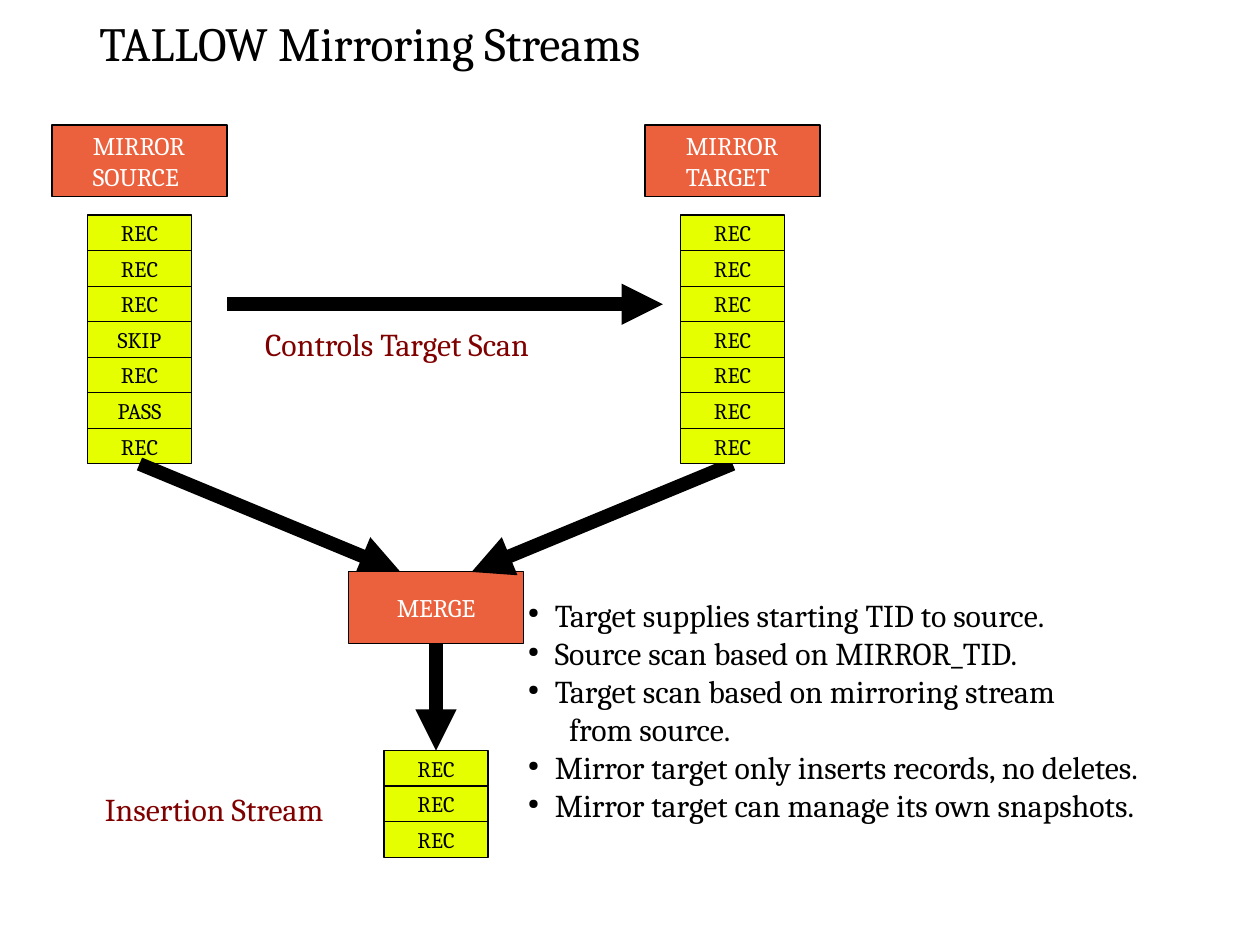
from lxml import etree
from pptx import Presentation, util as u
from pptx.dml.color import RGBColor
from pptx.enum import shapes, text
from pptx.oxml.ns import qn

# Content
TITLE = "TALLOW Mirroring Streams"
HEADS = {"source": "MIRROR\nSOURCE", "target": "MIRROR\nTARGET", "merge": "MERGE"}
SOURCE = ["REC", "REC", "REC", "SKIP", "REC", "PASS", "REC"]
TARGET = ["REC"] * 7
STREAM = ["REC"] * 3
SCAN, INSERT = "Controls Target Scan", "Insertion Stream"
NOTES = [  # text, has bullet
    ("Target supplies starting TID to source.", True),
    ("Source scan based on MIRROR_TID.", True),
    ("Target scan based on mirroring stream", True),
    ("from source.", False),
    ("Mirror target only inserts records, no deletes.", True),
    ("Mirror target can manage its own snapshots.", True),
]

# Look and layout, lengths in cm
FONT = "Cambria"
BLACK, WHITE, RED, LIME, MAROON = "000000", "FFFFFF", "EB613D", "E6FF00", "800000"
MID, SPAN = 9.69, 6.59
LEFT, RIGHT = MID - SPAN, MID + SPAN
HEAD_W, HEAD_H = 3.89, 1.59
REC_W, REC_H = 2.31, 0.79
HEAD_Y, REC_Y, MERGE_Y, STREAM_Y = 2.78, 4.78, 12.71, 16.68
REC_END = REC_Y + REC_H * len(SOURCE)
TIP, SCAN_Y = 0.79, 6.76

deck = Presentation()
deck.slide_width, deck.slide_height = u.Cm(28), u.Cm(21)
slide = deck.slides.add_slide(deck.slide_layouts[6])


def hue(code):
    return RGBColor.from_string(code)


def style(frame, size, color, align=text.PP_ALIGN.LEFT):
    frame.word_wrap = True
    for par in frame.paragraphs:
        par.alignment = align
        for run in par.runs:
            run.font.name, run.font.size = FONT, u.Pt(size)
            run.font.color.rgb = hue(color)


def box(words, mid, top, wide, high, fill, size, color):
    rect = slide.shapes.add_shape(
        shapes.MSO_SHAPE.RECTANGLE,
        u.Cm(mid - wide / 2), u.Cm(top), u.Cm(wide), u.Cm(high))
    rect.shadow.inherit = False
    rect.fill.solid()
    rect.fill.fore_color.rgb = hue(fill)
    rect.line.color.rgb = hue(BLACK)
    rect.line.width = u.Pt(0)
    frame = rect.text_frame
    frame.text = words
    frame.vertical_anchor = text.MSO_ANCHOR.MIDDLE
    if "\n" in words:
        frame.margin_left = u.Cm(0.91)
        style(frame, size, color)
    else:
        style(frame, size, color, text.PP_ALIGN.CENTER)
    return rect


def head(key, mid, top):
    return box(HEADS[key], mid, top, HEAD_W, HEAD_H, RED, 16, WHITE)


def stack(names, mid, top):
    return [box(name, mid, top + i * REC_H, REC_W, REC_H, LIME, 14, BLACK)
            for i, name in enumerate(names)]


def label(words, left, top, wide, high, size, color,
          anchor=text.MSO_ANCHOR.MIDDLE):
    area = slide.shapes.add_textbox(u.Cm(left), u.Cm(top), u.Cm(wide), u.Cm(high))
    frame = area.text_frame
    frame.text = words
    frame.vertical_anchor = anchor
    style(frame, size, color)
    return frame


def arrow(x1, y1, x2, y2):
    line = slide.shapes.add_connector(
        shapes.MSO_CONNECTOR.STRAIGHT, u.Cm(x1), u.Cm(y1), u.Cm(x2), u.Cm(y2))
    line.line.color.rgb = hue(BLACK)
    line.line.width = u.Pt(8.65)
    props = line._element.spPr
    etree.SubElement(props.find(qn("a:ln")), qn("a:tailEnd"), type="triangle")
    etree.SubElement(props, qn("a:effectLst"))
    return line


def bullet(par, marked):
    props = par._p.get_or_add_pPr()
    props.set("marL", str(u.Cm(0.6 if marked else 0.92)))
    props.set("indent", str(u.Cm(-0.6 if marked else 0)))
    if marked:
        tint = etree.SubElement(props, qn("a:buClr"))
        etree.SubElement(tint, qn("a:srgbClr"), val=BLACK)
        etree.SubElement(props, qn("a:buSzPct"), val="45000")
        etree.SubElement(props, qn("a:buChar"), char="●")
    else:
        etree.SubElement(props, qn("a:buNone"))


# Title, source and scan
label(TITLE, 1.96, 0.1, 24.71, 1.7, 30, BLACK)
head("source", LEFT, HEAD_Y)
source = stack(SOURCE, LEFT, REC_Y)
head("target", RIGHT, HEAD_Y)
label(SCAN, 5.64, 6.99, 7.87, 1.3, 20, MAROON)
feed = arrow(LEFT, REC_END, MID - TIP, MERGE_Y)
feed.begin_connect(source[-1], 2)
arrow(LEFT + HEAD_W / 2, SCAN_Y, 14.73, SCAN_Y)

# Merge and target
merge = head("merge", MID, MERGE_Y)
feed = arrow(RIGHT, REC_END, MID + TIP, MERGE_Y)
target = stack(TARGET, RIGHT, REC_Y)
feed.begin_connect(target[-1], 2)

# Insertion stream
drop = arrow(MID, MERGE_Y + HEAD_H, MID, STREAM_Y)
stream = stack(STREAM, MID, STREAM_Y)
drop.begin_connect(merge, 2)
drop.end_connect(stream[0], 0)
label(INSERT, 2.08, 17.32, 6.35, 1.3, 20, MAROON)

# Notes
notes = label("\n".join(words for words, _ in NOTES),
              11.48, 13.11, 16.51, 6.2, 20, BLACK, text.MSO_ANCHOR.TOP)
for par, (_, marked) in zip(notes.paragraphs, NOTES):
    bullet(par, marked)

deck.save("out.pptx")
